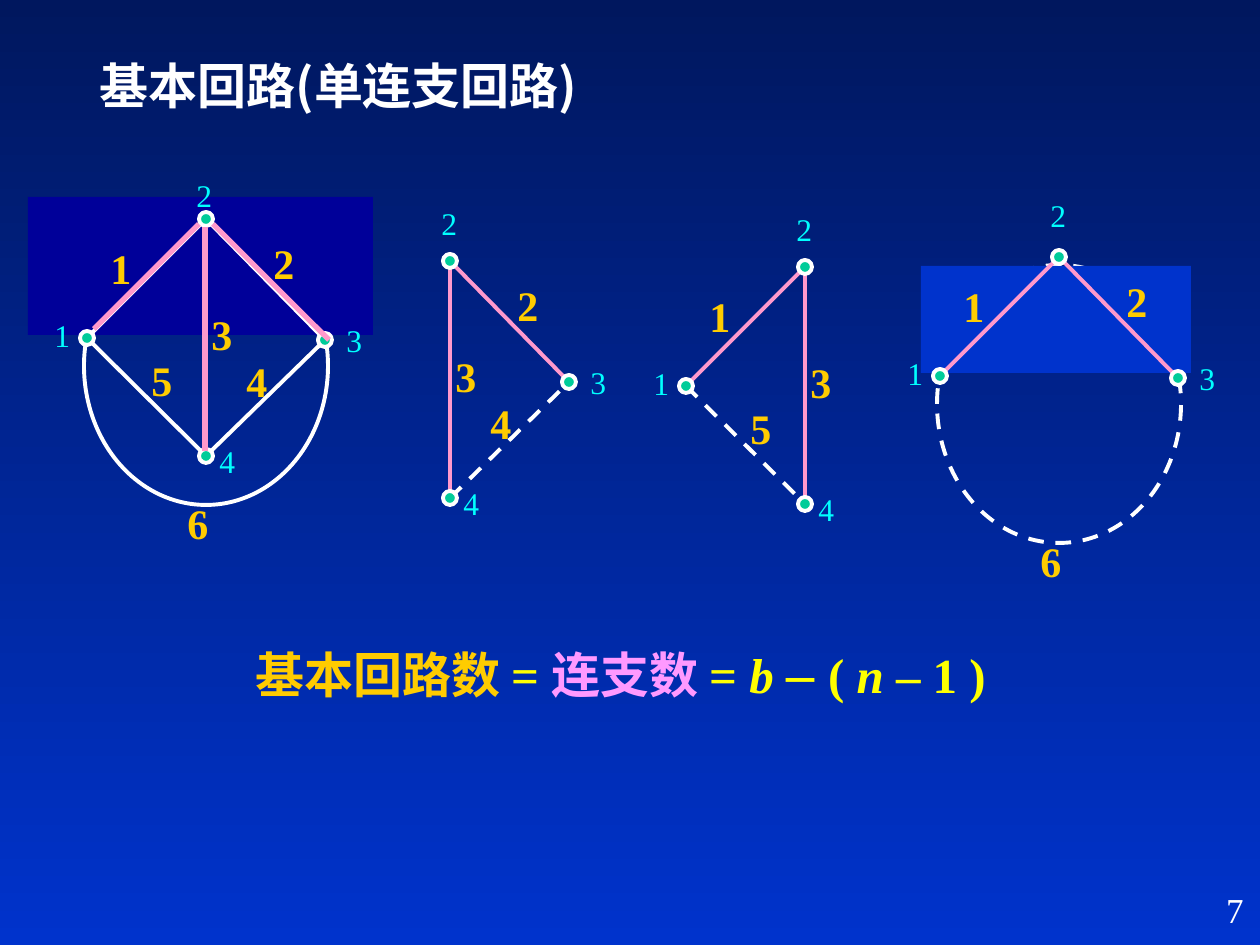
from dataclasses import dataclass

from lxml.etree import SubElement
from pptx import Presentation
from pptx.dml.color import RGBColor
from pptx.enum.dml import MSO_LINE
from pptx.enum.shapes import MSO_CONNECTOR, MSO_SHAPE as SHAPE
from pptx.enum.text import MSO_ANCHOR as ANCHOR, PP_ALIGN as ALIGN
from pptx.oxml.ns import qn
from pptx.util import Emu, Pt

EMU_PER_PX = 914400 / 126


@dataclass(frozen=True)
class Theme:
    latin: str = "Times New Roman"
    cjk: str = "Noto Sans CJK SC"
    bg_top: str = "00175E"
    bg_bottom: str = "0033CC"
    panel: str = "000099"
    white: str = "FFFFFF"
    tree: str = "FF99CC"
    node: str = "00CC99"
    node_label: str = "00FFFF"
    edge_label: str = "FFCC00"
    formula: str = "FFFF00"
    link_word: str = "FF99FF"
    heading: int = 28
    minus: int = 32
    edge_size: int = 24
    page_size: int = 20
    node_size: int = 18
    line: float = 2.25
    thick: float = 3


T = Theme()

# All graph offsets are measured from node 2, the top of every graph.
NODES = {1: (-119, 119), 2: (0, 0), 3: (119, 121), 4: (0, 237)}
NODE_LABELS = {1: (-164, 91), 2: (-21, -63), 3: (128, 96), 4: (1, 217)}
EDGES = {1: (2, 1), 2: (2, 3), 3: (2, 4), 4: (4, 3), 5: (1, 4)}
EDGE_LABELS = {1: (-108, 17), 2: (55, 12), 3: (-7, 83),
               4: (28, 130), 5: (-67, 129), 6: (-31, 272)}
ARC_EDGE = 6
ARC_BOX = (-122, 8, 244, 278)
NODE_D = 14


@dataclass(frozen=True)
class Graph:
    top: tuple
    nodes: tuple
    tree: tuple
    links: tuple
    panel: tuple = ()
    panel_color: str = T.panel
    tree_color: str = T.tree
    dashed: bool = True
    top_label: tuple = NODE_LABELS[2]


GRAPHS = (
    Graph((206, 219), (1, 2, 3, 4), (1, 2, 3), (4, 5, 6), (28, 197, 345, 138),
          tree_color=T.white, dashed=False, top_label=(-22, -49)),
    Graph((805, 267), (1, 2, 4), (1, 3), (5,)),
    Graph((450, 261), (2, 3, 4), (2, 3), (4,)),
    Graph((1059, 257), (1, 2, 3), (1, 2), (6,), (921, 266, 270, 107), T.bg_bottom,
          top_label=(-21, -67)),
)
TREE_HIGHLIGHTS = (((199, 224), (94, 329)),
                   ((205, 227), (205, 451)),
                   ((213, 224), (329, 340)))


def px(*values):
    return [Emu(round(v * EMU_PER_PX)) for v in values]


def rgb(code):
    return RGBColor.from_string(code)


def shift(origin, offset):
    return origin[0] + offset[0], origin[1] + offset[1]


def set_font(p, size, color, bold=False, latin=T.latin):
    f = p.font
    f.name, f.size, f.bold = latin, Pt(size), bold
    f.color.rgb = rgb(color)
    SubElement(f._element, qn("a:ea"), typeface=T.cjk)


def set_frame(tf):
    tf.word_wrap = True
    tf.vertical_anchor = ANCHOR.TOP


def add_text(s, text, box, size, color, bold=False, align=ALIGN.LEFT):
    tf = s.shapes.add_textbox(*px(*box)).text_frame
    set_frame(tf)
    p = tf.paragraphs[0]
    p.text, p.alignment = text, align
    set_font(p, size, color, bold)


def add_line(s, start, end, color, width=T.line, dashed=False):
    c = s.shapes.add_connector(MSO_CONNECTOR.STRAIGHT, *px(*start, *end))
    c.line.color.rgb, c.line.width = rgb(color), Pt(width)
    if dashed:
        c.line.dash_style = MSO_LINE.DASH
    SubElement(c._element.spPr, qn("a:effectLst"))


def add_shape(s, kind, box, fill=None, line=None, dashed=False):
    sp = s.shapes.add_shape(kind, *px(*box))
    sp.shadow.inherit = False
    if fill:
        sp.fill.solid()
        sp.fill.fore_color.rgb = rgb(fill)
    else:
        sp.fill.background()
    if line:
        sp.line.color.rgb, sp.line.width = rgb(line), Pt(T.line)
        if dashed:
            sp.line.dash_style = MSO_LINE.DASH
    else:
        sp.line.fill.background()


def add_graph(s, g):
    """Draw links first, then panel, tree edges, nodes and labels over them."""
    for e in g.links:
        if e == ARC_EDGE:
            add_shape(s, SHAPE.OVAL, (*shift(g.top, ARC_BOX), *ARC_BOX[2:]),
                      line=T.white, dashed=g.dashed)
        else:
            add_line(s, *(shift(g.top, NODES[n]) for n in EDGES[e]), T.white, dashed=g.dashed)
    if g.panel:
        add_shape(s, SHAPE.RECTANGLE, g.panel, g.panel_color)
    for e in g.tree:
        add_line(s, *(shift(g.top, NODES[n]) for n in EDGES[e]), g.tree_color)
    for n in g.nodes:
        x, y = shift(g.top, NODES[n])
        add_shape(s, SHAPE.OVAL, (x - NODE_D // 2, y - NODE_D // 2, NODE_D, NODE_D),
                  T.node, T.white)
        label = g.top_label if n == 2 else NODE_LABELS[n]
        add_text(s, str(n), (*shift(g.top, label), 53, 50), T.node_size, T.node_label)
    for e in g.tree + g.links:
        add_text(s, str(e), (*shift(g.top, EDGE_LABELS[e]), 50, 63),
                 T.edge_size, T.edge_label, True)


def set_background(s):
    fill = s.background.fill
    fill.gradient()
    fill.gradient_angle = 270
    for stop, position, color in zip(fill.gradient_stops, (0, 1), (T.bg_top, T.bg_bottom)):
        stop.position, stop.color.rgb = position, rgb(color)


def set_title(s, text):
    title = s.shapes.title
    title.left, title.top, title.width, title.height = px(62, 49, 553, 72)
    set_frame(title.text_frame)
    p = title.text_frame.paragraphs[0]
    p.text, p.alignment = text, ALIGN.CENTER
    set_font(p, T.heading, T.white, True, T.cjk)


def add_formula(s):
    tf = s.shapes.add_textbox(*px(243, 631, 820, 81)).text_frame
    set_frame(tf)
    p = tf.paragraphs[0]
    for text, color, size, italic in (
            ("基本回路数 ", T.edge_label, T.heading, False),
            ("= ", T.formula, T.heading, False),
            ("连支数 ", T.link_word, T.heading, False),
            ("= ", T.formula, T.heading, False),
            ("b ", T.formula, T.heading, True),
            ("– ", T.formula, T.minus, False),
            ("( ", T.formula, T.heading, False),
            ("n ", T.formula, T.heading, True),
            ("– 1 )", T.formula, T.heading, False)):
        r = p.add_run()
        r.text = text
        r.font.size, r.font.italic = Pt(size), italic
        r.font.color.rgb = rgb(color)
    set_font(p, T.heading, T.formula, True)


def main():
    prs = Presentation()
    prs.slide_width, prs.slide_height = px(1260, 945)
    s = prs.slides.add_slide(prs.slide_layouts[5])
    set_background(s)
    set_title(s, "基本回路(单连支回路)")
    add_formula(s)
    for g in GRAPHS:
        add_graph(s, g)
    for start, end in TREE_HIGHLIGHTS:
        add_line(s, start, end, T.tree, T.thick)
    add_text(s, "7", (994, 882, 262, 63), T.page_size, T.white, align=ALIGN.RIGHT)
    prs.save("out.pptx")


if __name__ == "__main__":
    main()
